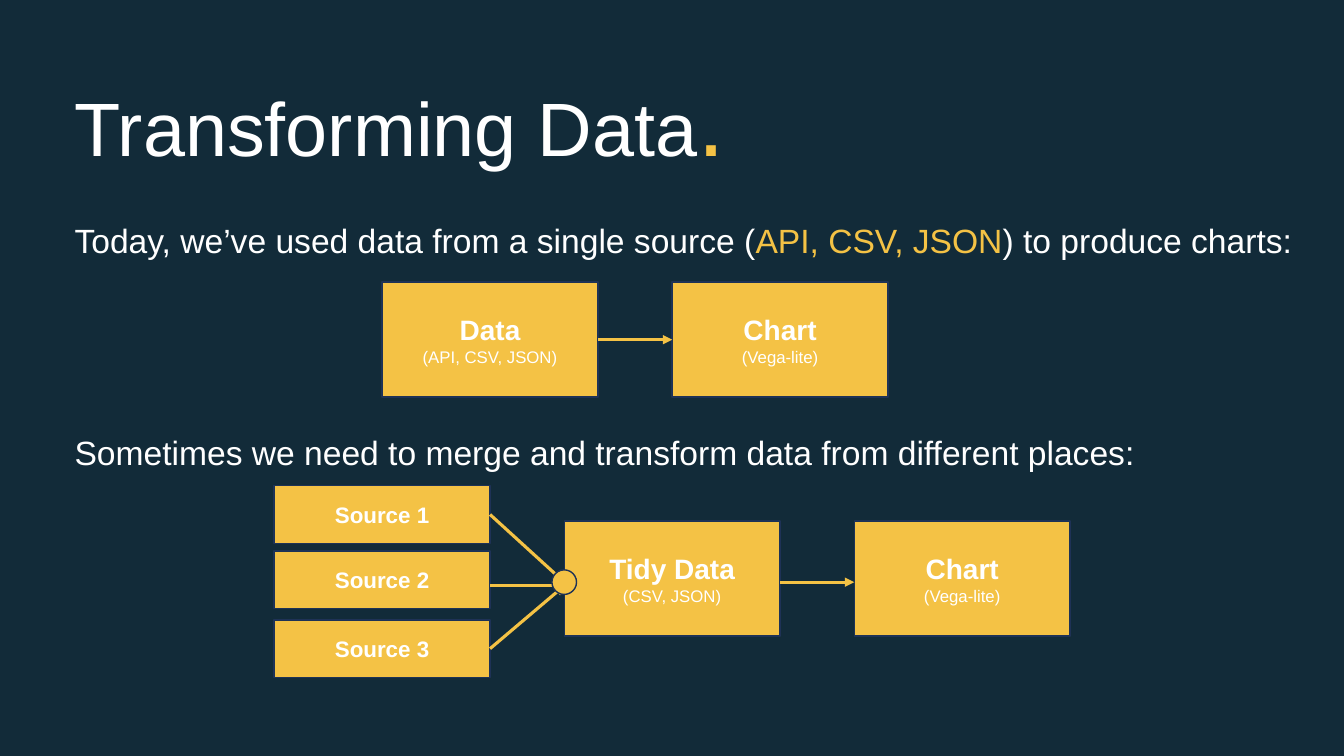
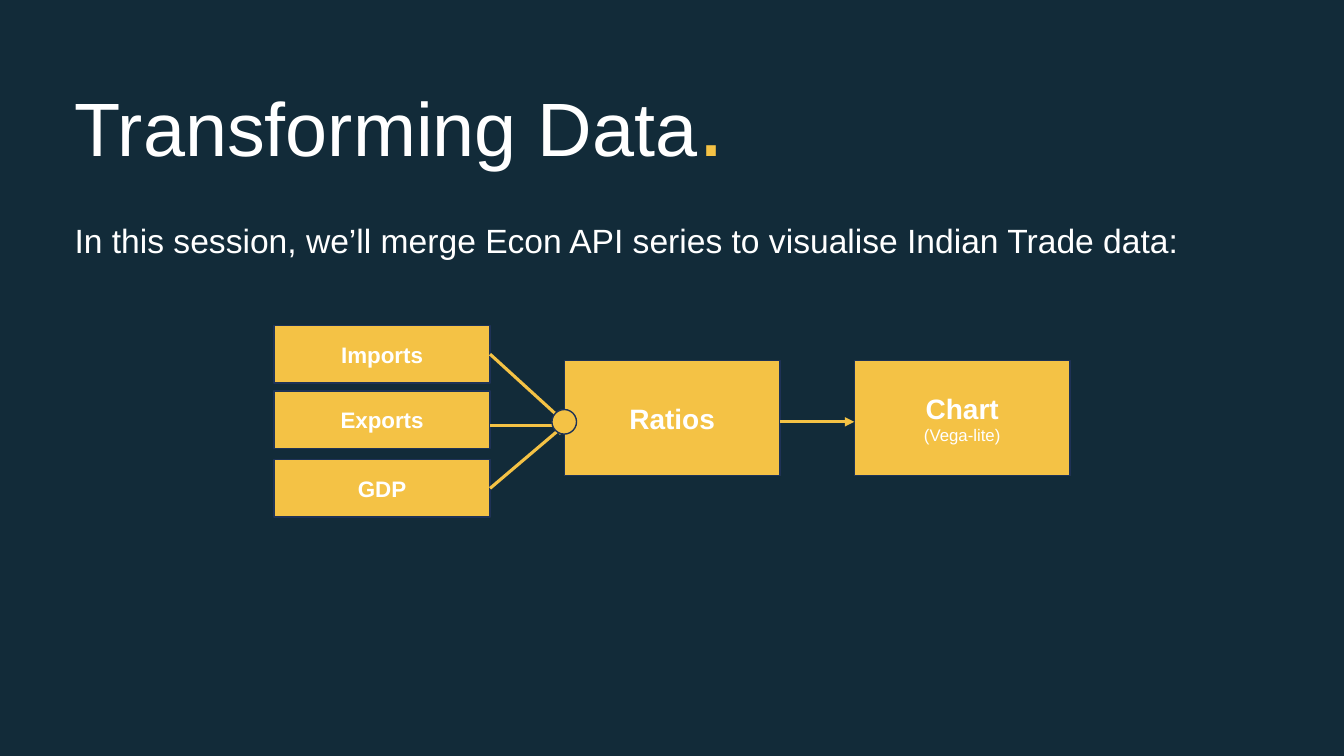
"""Build two slides showing how data sources flow into charts."""
from dataclasses import dataclass

from lxml import etree
from pptx import Presentation
from pptx.dml.color import RGBColor
from pptx.enum import shapes, text
from pptx.oxml import ns
from pptx.util import Cm, Pt


@dataclass(frozen=True)
class Theme:
    font: str = "Arial"
    navy: str = "122B39"
    gold: str = "F4C245"
    white: str = "FFFFFF"
    outline: str = "1E3256"
    title: int = 54
    stop: int = 72
    body: int = 24
    heading: int = 20
    source: int = 16
    detail: int = 12
    rule: float = 2.25


THEME = Theme()
TITLE = "Transforming Data"
CHART = ("Chart", "(Vega-lite)")
SLIDES = [
    [
        {
            "top": 4.9,
            "lead": [
                ("Today, we’ve used data from a single source (", THEME.white),
                ("API, CSV, JSON", THEME.gold),
                (") to produce charts:", THEME.white),
            ],
            "sources": [],
            "steps": [("Data", "(API, CSV, JSON)"), CHART],
            "left": 9.63,
            "flow_top": 7.11,
        },
        {
            "top": 10.26,
            "lead": [("Sometimes we need to merge and transform data from different places:", THEME.white)],
            "sources": ["Source 1", "Source 2", "Source 3"],
            "steps": [("Tidy Data", "(CSV, JSON)"), CHART],
            "left": 14.22,
            "flow_top": 13.13,
        },
    ],
    [
        {
            "top": 4.9,
            "lead": [("In this session, we’ll merge Econ API series to visualise Indian Trade data:", THEME.white)],
            "sources": ["Imports", "Exports", "GDP"],
            "steps": [("Ratios",), CHART],
            "left": 14.22,
            "flow_top": 9.09,
        },
    ],
]

MARGIN = 1.63
BOX_WIDTH, BOX_HEIGHT, PITCH = 5.44, 2.9, 7.31
SOURCE_HEIGHT = BOX_HEIGHT / 2
SOURCE_OFFSETS = (-0.89, 0.76, 2.49)
HUB_SIZE, HUB_OFFSET, LOWER_OFFSET = 0.62, 1.54, 1.63
RIGHT_SIDE, LEFT_SIDE = 3, 1


def rgb(value):
    return RGBColor.from_string(value)


def write(para, pieces):
    """Add (text, size, colour, bold) pieces to a paragraph."""
    for words, size, colour, bold in pieces:
        span = para.add_run()
        span.text = words
        span.font.name = THEME.font
        span.font.size = Pt(size)
        span.font.color.rgb = rgb(colour)
        span.font.bold = bold


def add_text(page, left, top, width, height, pieces, spacing, before=0, anchor=text.MSO_ANCHOR.TOP):
    box = page.shapes.add_textbox(Cm(left), Cm(top), Cm(width), Cm(height))
    frame = box.text_frame
    frame.word_wrap = True
    frame.vertical_anchor = anchor
    para = frame.paragraphs[0]
    para.line_spacing = spacing
    para.space_before = Pt(before)
    write(para, pieces)


def add_block(page, kind, left, top, width, height, lines=()):
    """Add a gold shape whose lines are (text, size, bold)."""
    block = page.shapes.add_shape(kind, Cm(left), Cm(top), Cm(width), Cm(height))
    block.shadow.inherit = False
    block.fill.solid()
    block.fill.fore_color.rgb = rgb(THEME.gold)
    block.line.color.rgb = rgb(THEME.outline)
    block.line.width = Pt(1)
    frame = block.text_frame
    frame.vertical_anchor = text.MSO_ANCHOR.MIDDLE
    for index, (words, size, bold) in enumerate(lines):
        para = frame.add_paragraph() if index else frame.paragraphs[0]
        para.alignment = text.PP_ALIGN.CENTER
        write(para, [(words, size, THEME.white, bold)])
    return block


def add_arrow(page, start, end, origin=None, target=None):
    arrow = page.shapes.add_connector(
        shapes.MSO_CONNECTOR.STRAIGHT, *(Cm(length) for length in (*start, *end)))
    if origin is not None:
        arrow.begin_connect(origin, RIGHT_SIDE)
    if target is not None:
        arrow.end_connect(target, LEFT_SIDE)
    arrow.line.color.rgb = rgb(THEME.gold)
    arrow.line.width = Pt(THEME.rule)
    outline = arrow.line._get_or_add_ln()
    etree.SubElement(outline, ns.qn("a:tailEnd"), type="triangle")
    etree.SubElement(arrow._element.spPr, ns.qn("a:effectLst"))


def add_steps(page, flow):
    """Add the row of large boxes and the arrows between them."""
    left, top, merged = flow["left"], flow["flow_top"], bool(flow["sources"])
    boxes = []
    for index, (heading, *details) in enumerate(flow["steps"]):
        lines = [(heading, THEME.heading, True)]
        lines += [(detail, THEME.detail, False) for detail in details]
        boxes.append(add_block(page, shapes.MSO_SHAPE.RECTANGLE, left + index * PITCH, top,
                               BOX_WIDTH, BOX_HEIGHT, lines))
    y = top + (HUB_OFFSET if merged else BOX_HEIGHT / 2)
    for index, (origin, target) in enumerate(zip(boxes, boxes[1:])):
        x = left + index * PITCH
        ends = (None, None) if merged else (origin, target)
        add_arrow(page, (x + BOX_WIDTH, y), (x + PITCH, y), *ends)


def add_sources(page, flow):
    """Add the stacked sources and the hub where they meet."""
    hub_x, top = flow["left"], flow["flow_top"]
    left = hub_x - PITCH
    hub_y, lower_y = top + HUB_OFFSET, top + LOWER_OFFSET
    ends = (hub_y, lower_y, lower_y)
    for index, (name, offset, end_y) in enumerate(zip(flow["sources"], SOURCE_OFFSETS, ends)):
        box = add_block(page, shapes.MSO_SHAPE.RECTANGLE, left, top + offset,
                        BOX_WIDTH, SOURCE_HEIGHT, [(name, THEME.source, True)])
        level = index == 1
        start_y = end_y if level else top + offset + SOURCE_HEIGHT / 2
        add_arrow(page, (left + BOX_WIDTH, start_y), (hub_x, end_y), None if level else box)
    add_block(page, shapes.MSO_SHAPE.OVAL, hub_x - HUB_SIZE / 2, hub_y - HUB_SIZE / 2,
              HUB_SIZE, HUB_SIZE)


def add_page(deck, flows):
    page = deck.slides.add_slide(deck.slide_layouts[6])
    title = [(TITLE, THEME.title, THEME.white, False), (".", THEME.stop, THEME.gold, False)]
    add_text(page, MARGIN, 0.94, 29.21, 3.68, title, 0.9, anchor=text.MSO_ANCHOR.BOTTOM)
    for flow in flows:
        lead = [(words, THEME.body, colour, False) for words, colour in flow["lead"]]
        add_text(page, MARGIN, flow["top"], 31.8, 1.65, lead, 1.5, before=10)
        add_steps(page, flow)
        if flow["sources"]:
            add_sources(page, flow)


def main():
    deck = Presentation()
    deck.slide_width, deck.slide_height = Cm(33.87), Cm(19.05)
    backdrop = deck.slide_master.background.fill
    backdrop.solid()
    backdrop.fore_color.rgb = rgb(THEME.navy)
    for flows in SLIDES:
        add_page(deck, flows)
    deck.save("out.pptx")


if __name__ == "__main__":
    main()
